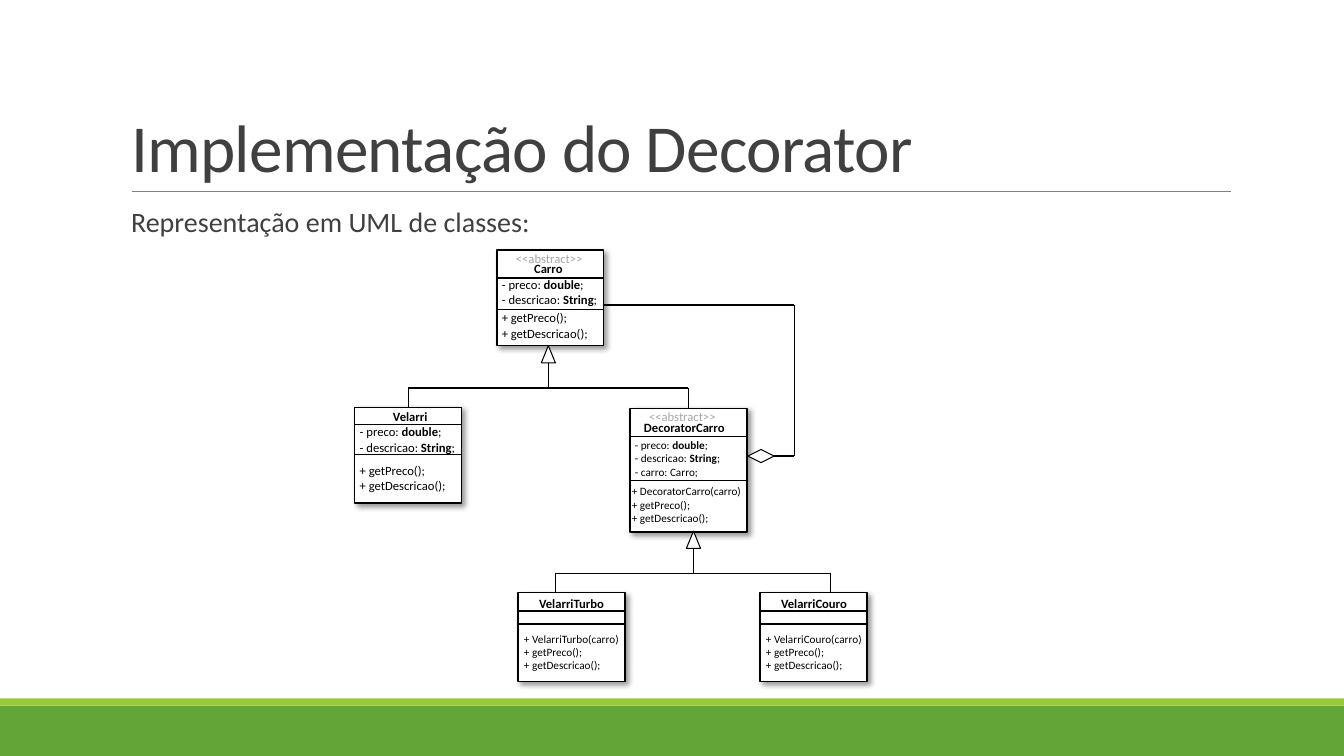
"""Build the slide that shows the Decorator pattern as a UML class diagram."""
import pptx
import pptx.util
import pptx.dml.color
import pptx.enum.shapes
import pptx.enum.text
import pptx.oxml
import pptx.oxml.ns

WIDE, HIGH = 133.33, 75
CELL = 0.1
FONT = "Calibri"
COLORS = {"lime": "99CB38", "green": "63A537", "rule": "808080", "dark": "404040",
          "black": "000000", "white": "FFFFFF", "pale": "A6A6A6"}
TITLE = "Implementação do Decorator"
LEAD = "Representação em UML de classes:"
BANDS = [(70, 5, "green"), (69.3, 0.7, "lime")]

FIELDS = ["- preco: *double*;", "- descricao: *String*;"]
GETS = ["+ getPreco();", "+ getDescricao();"]
STEREO = ["<<abstract>>"]

CLASSES = {
    "Carro": ((49.3, 24.8, 10.6, 9.5), (2.8, 5.9), False, [
        (0.9, -0.4, 8.7, 9, "pale", STEREO),
        (2.7, 0.6, 4.9, 9, "black", ["*Carro*"]),
        (-0.5, 2.2, 11.5, 9, "black", FIELDS),
        (-0.5, 5.5, 10.6, 9, "black", GETS)]),
    "Velarri": ((35.2, 40.4, 10.6, 9.5), (1.7, 4.7), False, [
        (2.8, -0.3, 5.5, 9, "black", ["*Velarri*"]),
        (-0.5, 1.2, 11.5, 9, "black", FIELDS),
        (-0.5, 5, 10.6, 9, "black", GETS)]),
    "DecoratorCarro": ((62.5, 40.5, 11.6, 12.3), (2.8, 7.2), True, [
        (0.9, -0.4, 9.5, 9, "pale", STEREO),
        (0.4, 0.7, 11.2, 9, "black", ["*DecoratorCarro*"]),
        (-0.5, 2.5, 11.5, 8, "black", FIELDS + ["- carro: Carro;"]),
        (-0.8, 7.1, 13.1, 8, "black", ["+ DecoratorCarro(carro)"] + GETS)]),
}
for name, left in (("VelarriTurbo", 51.4), ("VelarriCouro", 75.4)):
    CLASSES[name] = ((left, 58.8, 10.6, 8.8), (1.8, 3.1), False, [
        (1.1, -0.2, 8.7, 9, "black", [f"*{name}*"]),
        (-0.4, 3.4, 11.6, 8, "black", [f"+ {name}(carro)"] + GETS)])

TREES = [
    (54.4, 34.3, 38.5, [(40.5, 40.4, "Velarri"), (68.3, 40.5, "DecoratorCarro")]),
    (68.8, 52.7, 56.9, [(55.1, 58.8, None), (82.4, 58.8, None)]),
]
DIAMOND = (74.2, 44.6, 2.6, 1.3)
LOOP = [(76.8, 45.25), (78.8, 45.25), (78.8, 30.25), (59.9, 30.25)]

MSO = pptx.enum.shapes.MSO_SHAPE
ANCHOR = pptx.enum.text.MSO_ANCHOR
FIT = pptx.enum.text.MSO_AUTO_SIZE
ALIGN = pptx.enum.text.PP_ALIGN
Pt = pptx.util.Pt


def grid(*cells):
    return [pptx.util.Inches(round(c * CELL, 3)) for c in cells]


def tint(name):
    return pptx.dml.color.RGBColor.from_string(COLORS[name])


def put(shapes, kind, frame, fill, edge=None):
    shape = shapes.add_shape(kind, *grid(*frame))
    shape.shadow.inherit = False
    shape.fill.solid()
    shape.fill.fore_color.rgb = tint(fill)
    if edge:
        shape.line.color.rgb = tint("black")
        shape.line.width = Pt(edge)
    else:
        shape.line.fill.background()
    return shape


def link(shapes, start, end, color="black", width=1):
    straight = pptx.enum.shapes.MSO_CONNECTOR.STRAIGHT
    line = shapes.add_connector(straight, *grid(*start, *end))
    line.line.color.rgb = tint(color)
    line.line.width = Pt(width)
    props = line._element.spPr
    props.append(props.makeelement(pptx.oxml.ns.qn("a:effectLst"), {}))
    return line


def shade(shape):
    space = pptx.oxml.ns.nsdecls("a")
    glow = pptx.oxml.parse_xml(
        f'<a:outerShdw {space} blurRad="50800" dist="38100" dir="2700000" '
        'algn="tl" rotWithShape="0"><a:srgbClr val="000000">'
        '<a:alpha val="40000"/></a:srgbClr></a:outerShdw>')
    shape._element.spPr.find(pptx.oxml.ns.qn("a:effectLst")).append(glow)


def write(para, text, size, color, bold=False):
    run = para.add_run()
    run.text = text
    run.font.name = FONT
    run.font.size = Pt(size)
    run.font.bold = bold
    run.font.color.rgb = tint(color)
    return run


def note(shapes, left, top, width, size, color, lines, wrap):
    tall = 1 + len(lines) * size * 1.22 / 7.2
    box = shapes.add_textbox(*grid(left, top, width, tall))
    frame = box.text_frame
    frame.word_wrap = wrap
    frame.auto_size = FIT.SHAPE_TO_FIT_TEXT
    for i, line in enumerate(lines):
        para = frame.add_paragraph() if i else frame.paragraphs[0]
        for j, part in enumerate(line.split("*")):
            if part:
                write(para, part, size, color, j % 2 == 1)


def hold(holder, frame, text, size, anchor, space):
    holder.left, holder.top, holder.width, holder.height = grid(*frame)
    body = holder.text_frame
    body.auto_size = FIT.NONE
    body.vertical_anchor = anchor
    para = body.paragraphs[0]
    para.alignment = ALIGN.LEFT
    para.line_spacing = space
    para.space_before = Pt(0)
    return body, para, write(para, text, size, "dark")


def draw(shapes, data):
    (left, top, width, tall), rows, wrap, notes = data
    box = put(shapes, MSO.RECTANGLE, (left, top, width, tall), "white", 1)
    shade(box)
    for row in rows:
        link(shapes, (left, top + row), (left + width, top + row))
    for col, row, wide, size, color, lines in notes:
        note(shapes, left + col, top + row, wide, size, color, lines, wrap)
    return box


def main():
    deck = pptx.Presentation()
    deck.slide_width, deck.slide_height = grid(WIDE, HIGH)
    slide = deck.slides.add_slide(deck.slide_layouts[1])
    shapes = slide.shapes
    for top, tall, color in BANDS:
        put(shapes, MSO.RECTANGLE, (0, top, WIDE, tall), color)
    link(shapes, (13.1, 19), (122.1, 19), "rule", 0.5)

    run = hold(shapes.title, (12, 3.1, 110, 15.9), TITLE, 48, ANCHOR.BOTTOM, 0.85)[2]
    run.font._element.set("spc", "-50")
    body, para, run = hold(slide.placeholders[1], (12, 20.2, 110, 44), LEAD, 20,
                           ANCHOR.TOP, 0.9)
    body.margin_left = body.margin_right = 0
    props = para._p.get_or_add_pPr()
    props.set("marL", "91440")
    props.set("indent", "0")
    props.append(props.makeelement(pptx.oxml.ns.qn("a:buNone"), {}))

    boxes = {name: draw(shapes, data) for name, data in CLASSES.items()}
    for mid, top, bar, ends in TREES:
        put(shapes, MSO.ISOSCELES_TRIANGLE, (mid - 0.7, top, 1.4, 1.7), "white", 0.75)
        link(shapes, (mid, bar), (mid, top + 1.7))
        link(shapes, (ends[0][0], bar), (ends[1][0], bar))
        for col, row, name in ends:
            line = link(shapes, (col, bar), (col, row))
            if name:
                line.end_connect(boxes[name], 0)

    gem = put(shapes, MSO.FLOWCHART_DECISION, DIAMOND, "white", 0.75)
    loop = [link(shapes, a, b) for a, b in zip(LOOP, LOOP[1:])]
    loop[0].begin_connect(gem, 3)
    deck.save("out.pptx")


if __name__ == "__main__":
    main()
